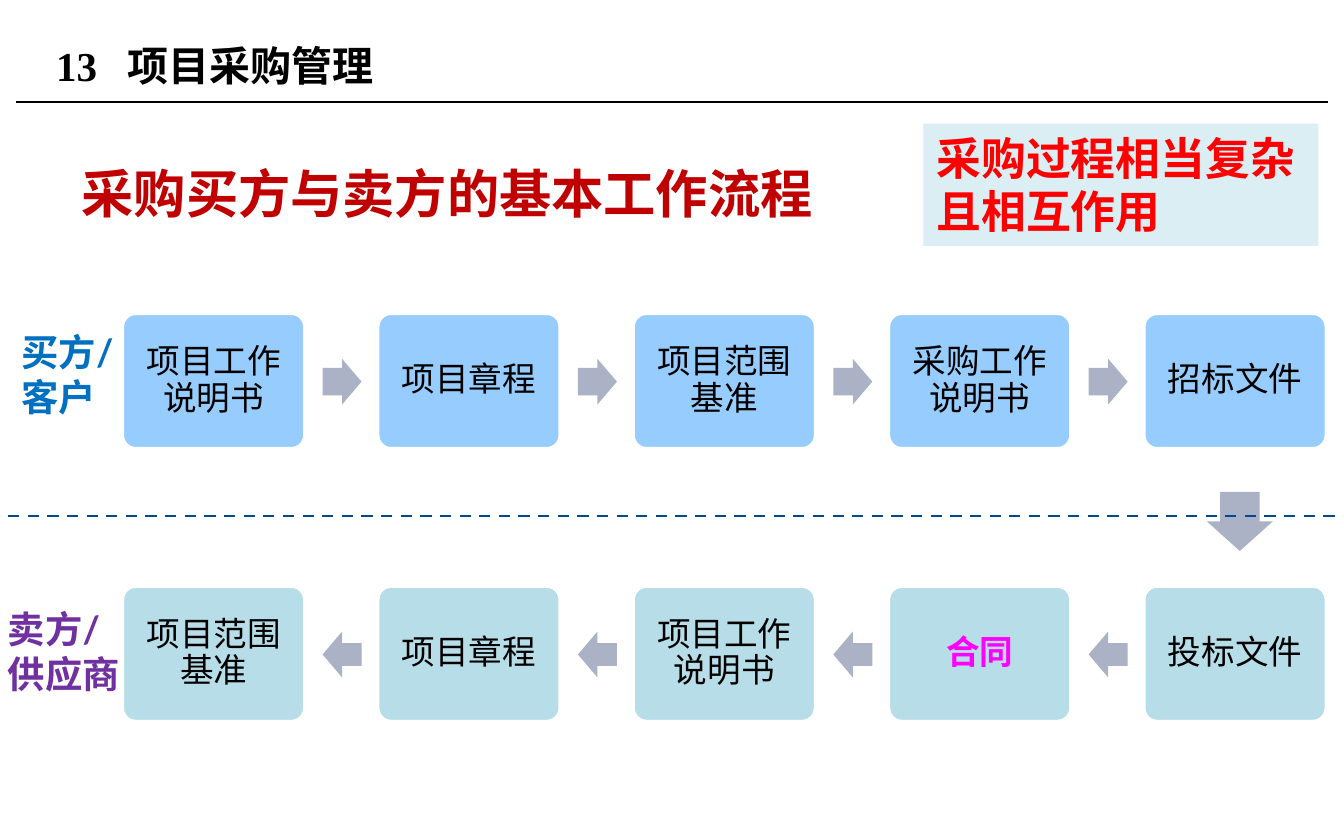
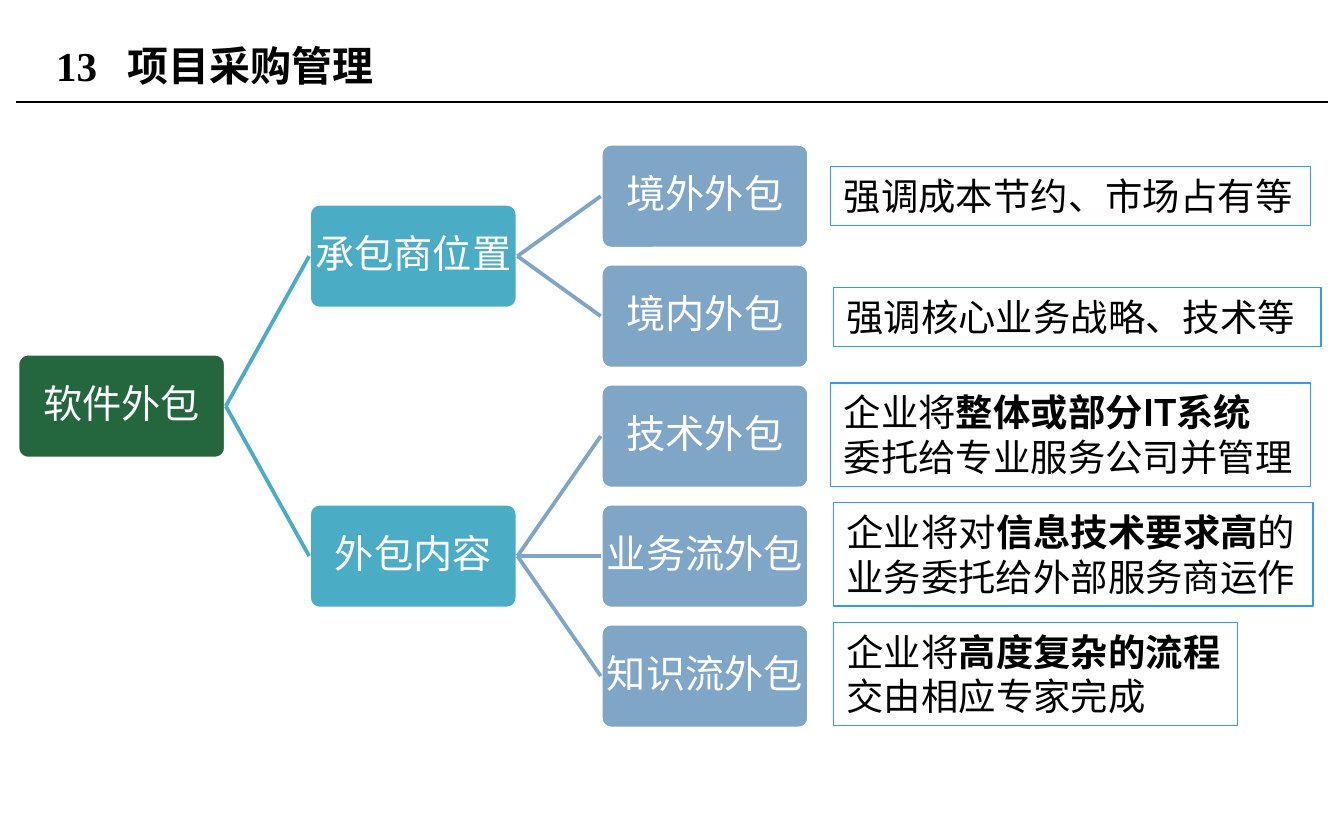
"""Build two slides on project procurement: the work flow and the outsourcing tree."""
from lxml import etree
from pptx import Presentation
from pptx import util as u
from pptx.dml.color import RGBColor
from pptx.enum import dml, shapes, text
from pptx.oxml import ns

SANS, SERIF = "Lato", "Times New Roman"
BLACK, WHITE, GREY = "000000", "FFFFFF", "ABB2C5"
BUYER, SELLER = "97CDFE", "B7DEE8"
ROOT, GROUP, LEAF = "24673E", "4BACC6", "7FA6C7"
FLOW_X, FLOW_GAP, STEP_W, STEP_H = 0.91, 1.9, 1.36, 1.01
NODE_W, NODE_H, NODE_X, NODE_GAP = 1.55, 0.78, 0.13, 2.17
LEAF_TOP, LEAF_END = 1.07, 4.64

BUY_STEPS = ["项目工作说明书", "项目章程", "项目范围基准", "采购工作说明书", "招标文件"]
SELL_STEPS = ["项目范围基准", "项目章程", "项目工作说明书", "*合同*", "投标文件"]
TREE = {
    "承包商位置": ["境外外包", "境内外包"],
    "外包内容": ["技术外包", "业务流外包", "知识流外包"],
}
NOTES = [
    ((6.18, 1.24, 3.57, 0.44), ["强调成本节约、市场占有等"]),
    ((6.2, 2.14, 3.63, 0.44), ["强调核心业务战略、技术等"]),
    ((6.18, 2.85, 3.57, 0.77), ["企业将*整体或部分IT系统*", "委托给专业服务公司并管理"]),
    ((6.2, 3.74, 3.57, 0.77), ["企业将对*信息技术要求高*的", "业务委托给外部服务商运作"]),
    ((6.2, 4.63, 3.01, 0.77), ["企业将*高度复杂的流程*", "交由相应专家完成"]),
]


def rgb(code):
    """Turn a hex string into a colour."""
    return RGBColor.from_string(code)


def place(*sizes):
    """Turn numbers into lengths in inches."""
    return [u.Inches(size) for size in sizes]


def write(shape, lines, size, color=BLACK, bold=False, font=SANS, align="LEFT",
          space=None, inset=None, middle=False):
    """Fill a shape with lines, where stars enclose bold words."""
    frame = shape.text_frame
    frame.word_wrap = True
    frame.vertical_anchor = text.MSO_ANCHOR.MIDDLE if middle else text.MSO_ANCHOR.TOP
    if inset is not None:
        frame.margin_left = frame.margin_right = u.Inches(inset)
        frame.margin_top = frame.margin_bottom = u.Inches(inset)
    for row, line in enumerate(lines):
        para = frame.add_paragraph() if row else frame.paragraphs[0]
        para.alignment = getattr(text.PP_ALIGN, align)
        para.line_spacing = space
        for part, words in enumerate(line.split("*")):
            if words:
                run = para.add_run()
                run.text = words
                run.font.name, run.font.size = font, u.Pt(size)
                run.font.bold = bold or part % 2 == 1
                run.font.color.rgb = rgb(color)
    return frame


def label(slide, box, lines, size, color, **style):
    """Add a text box."""
    shape = slide.shapes.add_textbox(*place(*box))
    write(shape, lines, size, color, **style)
    return shape


def block(slide, kind, box, fill, edge=None):
    """Add a filled preset shape."""
    shape = slide.shapes.add_shape(getattr(shapes.MSO_SHAPE, kind), *place(*box))
    shape.shadow.inherit = False
    shape.fill.solid()
    shape.fill.fore_color.rgb = rgb(fill)
    if edge:
        shape.line.color.rgb = rgb(edge)
        shape.line.width = u.Pt(2)
    else:
        shape.line.fill.background()
    return shape


def card(slide, box, words, fill, size, color, inset):
    """Add a rounded box with centred words."""
    shape = block(slide, "ROUNDED_RECTANGLE", box, fill, WHITE)
    shape.adjustments[0] = 0.1
    write(shape, [words], size, color, align="CENTER", space=0.9,
          inset=inset, middle=True)
    return shape


def rule(slide, ends, color, width):
    """Add a straight line without shadow."""
    line = slide.shapes.add_connector(shapes.MSO_CONNECTOR.STRAIGHT, *place(*ends))
    line.line.color.rgb = rgb(color)
    line.line.width = u.Pt(width)
    etree.SubElement(line._element.spPr, ns.qn("a:effectLst"))
    return line


def link(slide, start, end, color):
    """Join the right side of one box to the left side of another."""
    line = rule(slide, (0, 0, 1, 1), color, 2)
    line.begin_connect(start, 3)
    line.end_connect(end, 1)


def page(deck):
    """Add a slide with the shared title and rule."""
    slide = deck.slides.add_slide(deck.slide_layouts[6])
    rule(slide, (0.12, 0.76, 9.88, 0.76), BLACK, 0.75)
    title = slide.shapes.add_textbox(*place(0.32, 0.13, 6.38, 0.71))
    props = title.text_frame.paragraphs[0]._p.get_or_add_pPr()
    tabs = etree.SubElement(props, ns.qn("a:tabLst"))
    etree.SubElement(tabs, ns.qn("a:tab"), pos=str(u.Inches(0.53)), algn="l")
    write(title, ["13\t项目采购管理"], 22, bold=True, font=SERIF, middle=True)
    return slide


def flow(slide, top, steps, fill, arrow):
    """Add a row of steps with block arrows between them."""
    for col, step in enumerate(steps):
        left = FLOW_X + col * FLOW_GAP
        color = "FF00FF" if "*" in step else BLACK
        card(slide, (left, top, STEP_W, STEP_H), step, fill, 18, color, 0.1)
        if col < len(steps) - 1:
            shape = block(slide, arrow, (left + 1.49, top + 0.34, 0.29, 0.34), GREY)
            if arrow == "RIGHT_ARROW":
                shape.adjustments[0] = 0.6


def process(deck):
    """Build the slide on the flow between buyer and seller."""
    slide = page(deck)
    label(slide, (0.51, 0.92, 8.98, 3.9), ["采购买方与卖方的基本工作流程"], 28, "C00000",
          bold=True, font=SERIF, space=1.5)
    flow(slide, 2.33, BUY_STEPS, BUYER, "RIGHT_ARROW")
    flow(slide, 4.36, SELL_STEPS, SELLER, "LEFT_ARROW")
    down = block(slide, "DOWN_ARROW", (8.98, 3.66, 0.49, 0.44), GREY)
    down.adjustments[0] = 0.6
    split = rule(slide, (0.06, 3.84, 9.94, 3.84), "004A8B", 1.5)
    split.line.dash_style = dml.MSO_LINE.DASH
    label(slide, (0.06, 2.4, 0.92, 0.77), ["买方/", "客户"], 20, "0070C0", bold=True)
    label(slide, (-0.04, 4.46, 1.11, 0.77), ["卖方/", "供应商"], 20, "7030A0", bold=True)
    remark = block(slide, "RECTANGLE", (6.87, 0.92, 2.94, 0.91), "DBEEF4")
    write(remark, ["采购过程相当复杂且相互作用"], 24, "FF0000", bold=True)


def node(slide, level, top, words, fill):
    """Add a box of the tree at a level."""
    box = (NODE_X + level * NODE_GAP, top, NODE_W, NODE_H)
    return card(slide, box, words, fill, 21, WHITE, 0.01)


def types(deck):
    """Build the slide on the kinds of outsourcing."""
    slide = page(deck)
    count = sum(len(names) for names in TREE.values())
    pitch = (LEAF_END - LEAF_TOP) / (count - 1)
    tops, groups, row = [], [], 0
    for name, names in TREE.items():
        first = LEAF_TOP + row * pitch
        top = first + (len(names) - 1) * pitch / 2
        group = node(slide, 1, top, name, GROUP)
        for step, words in enumerate(names):
            leaf = node(slide, 2, first + step * pitch, words, LEAF)
            link(slide, group, leaf, LEAF)
        tops.append(top)
        groups.append(group)
        row += len(names)
    root = node(slide, 0, sum(tops) / len(tops), "软件外包", ROOT)
    for group in groups:
        link(slide, root, group, GROUP)
    for box, lines in NOTES:
        note = label(slide, box, lines, 20, BLACK)
        note.text_frame.word_wrap = False
        note.line.color.rgb = rgb("2E9AFD")
        note.line.width = u.Pt(0.75)


def main():
    """Build and save the deck."""
    deck = Presentation()
    deck.slide_width, deck.slide_height = place(10, 6.25)
    process(deck)
    types(deck)
    deck.save("out.pptx")


if __name__ == "__main__":
    main()
